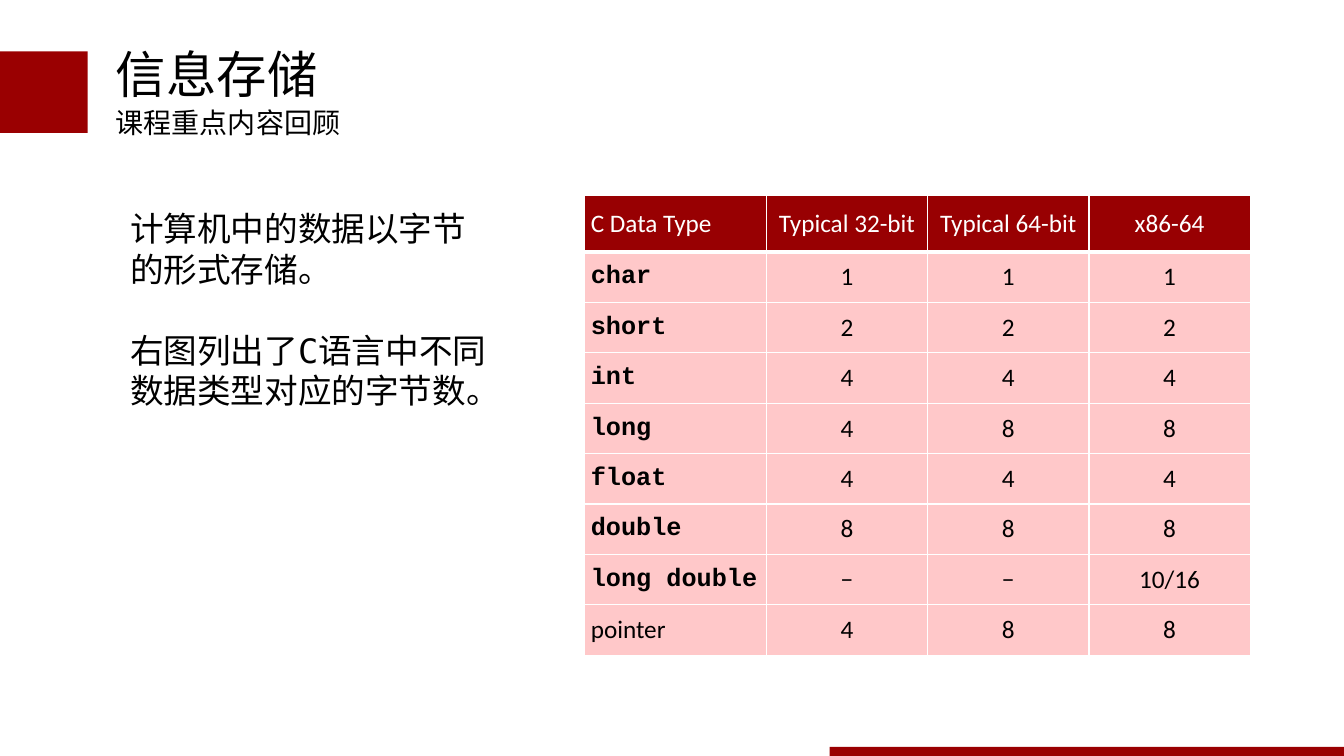
from lxml import etree
from pptx import Presentation
from pptx.dml.color import RGBColor
from pptx.enum.shapes import MSO_SHAPE
from pptx.enum.text import MSO_ANCHOR, PP_ALIGN
from pptx.oxml.ns import qn
from pptx.util import Inches, Pt

RECTANGLE = MSO_SHAPE.RECTANGLE
MIDDLE, TOP = MSO_ANCHOR.MIDDLE, MSO_ANCHOR.TOP
LEFT, CENTER = PP_ALIGN.LEFT, PP_ALIGN.CENTER

# Content
TITLE = "信息存储"
SUBTITLE = "课程重点内容回顾"
BODY = ["计算机中的数据以字节的形式存储。", "右图列出了C语言中不同数据类型对应的字节数。"]
HEADER = ("C Data Type", "Typical 32-bit", "Typical 64-bit", "x86-64")
SIZES = [
    ("char", "1", "1", "1"),
    ("short", "2", "2", "2"),
    ("int", "4", "4", "4"),
    ("long", "4", "8", "8"),
    ("float", "4", "4", "4"),
    ("double", "8", "8", "8"),
    ("long double", "−", "−", "10/16"),
    ("pointer", "4", "8", "8"),
]
BARS = [(0, 0.51, 0.87, 0.81), (8.23, 7.41, 5.1, 0.09)]

# Look
COLORS = {"bar": "9A0001", "header": "980002", "cell": "FFC8C9",
          "text": "000000", "white": "FFFFFF"}
HEADING_FONT, TABLE_FONT, CODE_FONT = "Noto Sans Mono", "Calibri", "Courier New"
BODY_LATIN, BODY_ASIAN = "DejaVu Sans Mono", "Noto Sans CJK SC"
COLUMN_WIDTHS = [1.8, 1.6, 1.6, 1.6]
HEADER_HEIGHT, ROW_HEIGHT = 0.56, 0.5
BODY_LINE = Pt(29)


def color(name):
    return RGBColor.from_string(COLORS[name])


def style(para, size, latin, asian=None, tint="text", bold=False):
    font = para.font
    font.size, font.name, font.bold = Pt(size), latin, bold
    font.color.rgb = color(tint)
    if asian:
        defaults = para._p.pPr.find(qn("a:defRPr"))
        latin_tag = defaults.find(qn("a:latin"))
        east = etree.Element(qn("a:ea"), typeface=asian)
        latin_tag.addnext(east)


def place(shape, left, top, width, height):
    shape.left, shape.top = Inches(left), Inches(top)
    shape.width, shape.height = Inches(width), Inches(height)


def set_borders(cell, widths):
    properties = cell._tc.get_or_add_tcPr()
    for index, (side, points) in enumerate(widths.items()):
        line = etree.Element(qn("a:" + side), w=str(Pt(points)))
        fill = etree.SubElement(line, qn("a:solidFill"))
        etree.SubElement(fill, qn("a:srgbClr"), val=COLORS["white"])
        properties.insert(index, line)


deck = Presentation()
deck.slide_width, deck.slide_height = Inches(13.33), Inches(7.5)
slide = deck.slides.add_slide(deck.slide_layouts[1])
title, body = slide.placeholders

# Title and subtitle; no right margin, so the title stays on one line
place(title, 1.05, 0.37, 2.2, 0.71)
title.text_frame.text = TITLE
subtitle = slide.shapes.add_textbox(Inches(1.05), Inches(0.99), Inches(5.58), Inches(0.44))
subtitle.text_frame.text = SUBTITLE
for box, size in ((title, 36), (subtitle, 20)):
    frame = box.text_frame
    frame.word_wrap, frame.vertical_anchor = True, MIDDLE
    frame.margin_right = 0
    para = frame.paragraphs[0]
    para.alignment = LEFT
    style(para, size, HEADING_FONT, HEADING_FONT)

# Red bars
for left, top, width, height in BARS:
    bar = slide.shapes.add_shape(RECTANGLE, Inches(left), Inches(top),
                                 Inches(width), Inches(height))
    bar.shadow.inherit = False
    bar.fill.solid()
    bar.fill.fore_color.rgb = color("bar")
    bar.line.fill.background()

# Explanation, one line apart
place(body, 1.19, 2.01, 3.83, 1.77)
frame = body.text_frame
frame.text = "\n".join(BODY)
frame.word_wrap, frame.vertical_anchor = True, TOP
for index, para in enumerate(frame.paragraphs):
    para.line_spacing = BODY_LINE
    para.space_before = BODY_LINE if index else Pt(0)
    layout = para._p.get_or_add_pPr()
    layout.set("marL", "0")
    layout.set("indent", "0")
    etree.SubElement(layout, qn("a:buNone"))
    style(para, 24, BODY_LATIN, BODY_ASIAN)

# Table of byte sizes
rows = [HEADER] + SIZES
table = slide.shapes.add_table(
    len(rows), len(HEADER), Inches(5.8), Inches(1.94), Inches(sum(COLUMN_WIDTHS)),
    Inches(HEADER_HEIGHT + ROW_HEIGHT * len(SIZES))).table
table.first_row = table.horz_banding = False
for column, width in zip(table.columns, COLUMN_WIDTHS):
    column.width = Inches(width)
for r, values in enumerate(rows):
    is_header = r == 0
    table.rows[r].height = Inches(HEADER_HEIGHT if is_header else ROW_HEIGHT)
    for c, value in enumerate(values):
        cell = table.cell(r, c)
        cell.text = value
        cell.vertical_anchor = MIDDLE
        cell.margin_left = cell.margin_right = Inches(0.06)
        cell.margin_top = cell.margin_bottom = Inches(0.06)
        cell.fill.solid()
        cell.fill.fore_color.rgb = color("header" if is_header else "cell")
        set_borders(cell, {"lnL": 1, "lnR": 1, "lnT": 3 if r == 1 else 1,
                           "lnB": 3 if is_header else 1})
        is_code = c == 0 and not is_header and value != "pointer"
        para = cell.text_frame.paragraphs[0]
        para.alignment = CENTER if c else LEFT
        style(para, 18, CODE_FONT if is_code else TABLE_FONT,
              tint="white" if is_header else "text", bold=is_code)

deck.save("out.pptx")
